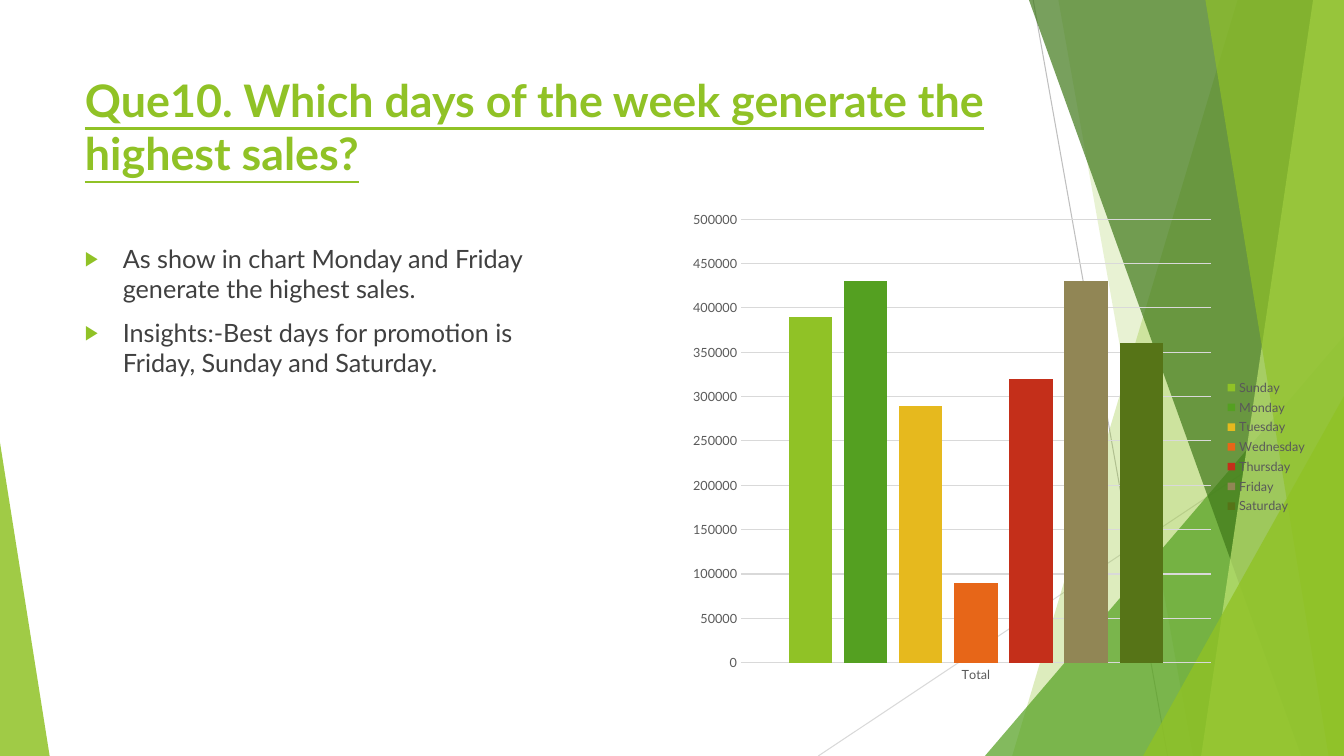
from lxml import etree
from pptx import Presentation
from pptx.chart.data import CategoryChartData
from pptx.dml.color import RGBColor
from pptx.enum.chart import XL_CHART_TYPE, XL_LEGEND_POSITION, XL_TICK_MARK
from pptx.enum.shapes import MSO_CONNECTOR, MSO_SHAPE
from pptx.enum.text import MSO_ANCHOR, MSO_AUTO_SIZE, PP_ALIGN
from pptx.oxml.ns import qn
from pptx.util import Pt

COLUMNS = XL_CHART_TYPE.COLUMN_CLUSTERED
LEGEND_RIGHT = XL_LEGEND_POSITION.RIGHT
NO_TICKS = XL_TICK_MARK.NONE
STRAIGHT = MSO_CONNECTOR.STRAIGHT
TRIANGLE = MSO_SHAPE.ISOSCELES_TRIANGLE
TOP = MSO_ANCHOR.TOP
NO_AUTOFIT = MSO_AUTO_SIZE.NONE
LEFT = PP_ALIGN.LEFT

FONT = "Lato"
WIDTH, HEIGHT = 960, 540
COLORS = {
    "lime": "90C226", "green": "54A021", "forest": "3F7819", "pale": "C0E474",
    "yellow": "E6B91E", "orange": "E76618", "red": "C42F1A", "khaki": "918655",
    "olive": "567417", "text": "404040", "label": "595959",
    "rule": "BFBFBF", "grid": "D9D9D9",
}


def style_font(font, size, color):
    font.name = FONT
    font.size = Pt(size)
    font.color.rgb = RGBColor.from_string(COLORS[color])


def fill_facet(shape, color, opacity):
    shape.shadow.inherit = False
    shape.line.fill.background()
    shape.fill.solid()
    shape.fill.fore_color.rgb = RGBColor.from_string(COLORS[color])
    tint = shape.element.spPr.find(qn("a:solidFill"))[0]
    etree.SubElement(tint, qn("a:alpha"), val=str(opacity * 1000))


deck = Presentation()
deck.slide_width, deck.slide_height = Pt(WIDTH), Pt(HEIGHT)
page = deck.slides.add_slide(deck.slide_layouts[1])

# Thin lines behind the facets
for x1, y1, x2, y2, color in [
    (738, 0, 834, HEIGHT, "rule"),
    (WIDTH, 290, 584.5, HEIGHT, "grid"),
]:
    line = page.shapes.add_connector(STRAIGHT, Pt(x1), Pt(y1), Pt(x2), Pt(y2))
    line.line.color.rgb = RGBColor.from_string(COLORS[color])
    line.line.width = Pt(0.75)
    etree.SubElement(line.element.spPr, qn("a:effectLst"))

# Facets, back to front: slabs (top x, bottom x) reach the right edge,
# triangles (left, top, width, apex) stand on the bottom edge
facets = [
    ("slab", (884, 723), "lime", 30),
    ("slab", (756, 852), "lime", 20),
    ("triangle", (703.5, 240, 256.5, 1), "green", 72),
    ("slab", (735, 929.5), "forest", 70),
    ("slab", (938, 858), "pale", 70),
    ("slab", (861, 949), "lime", 65),
    ("triangle", (816.5, 283, 143.5, 1), "lime", 80),
    ("triangle", (0, 316, 35.5, 0), "lime", 85),
]
for kind, geometry, color, opacity in facets:
    if kind == "slab":
        top_x, bottom_x = geometry
        outline = page.shapes.build_freeform(Pt(top_x), 0)
        corners = [(WIDTH, 0), (WIDTH, HEIGHT), (bottom_x, HEIGHT)]
        outline.add_line_segments([(Pt(x), Pt(y)) for x, y in corners])
        facet = outline.convert_to_shape()
    else:
        left, top, width, apex = geometry
        facet = page.shapes.add_shape(
            TRIANGLE, Pt(left), Pt(top), Pt(width), Pt(HEIGHT - top))
        facet.adjustments[0] = apex
    fill_facet(facet, color, opacity)

# Title and body, placed in front of the facets
title, body = page.shapes.title, page.placeholders[1]
for box, top, width, height in [(title, 48, 677, 104), (body, 170, 330, 305)]:
    box.left, box.top, box.width, box.height = Pt(53.5), Pt(top), Pt(width), Pt(height)
    box.element.getparent().append(box.element)
    box.text_frame.word_wrap = True
    box.text_frame.auto_size = NO_AUTOFIT
    box.text_frame.vertical_anchor = TOP

title.text_frame.text = "Que10. Which days of the week generate the highest sales?"
heading = title.text_frame.paragraphs[0]
heading.alignment = LEFT
style_font(heading.font, 32, "lime")
heading.font.bold = True
heading.font.underline = True

body.text_frame.text = (
    "As show in chart Monday and Friday generate the highest sales.\n"
    "Insights:-Best days for promotion is Friday, Sunday and Saturday."
)
for index, para in enumerate(body.text_frame.paragraphs):
    props = para._p.get_or_add_pPr()
    props.set("marL", str(Pt(27)))
    props.set("indent", str(-Pt(27)))
    bullet_color = etree.SubElement(props, qn("a:buClr"))
    etree.SubElement(bullet_color, qn("a:srgbClr"), val=COLORS["lime"])
    etree.SubElement(props, qn("a:buSzPct"), val="80000")
    etree.SubElement(props, qn("a:buChar"), char="▶")
    para.space_before = Pt(10 if index else 0)
    style_font(para.font, 18, "text")

# Sales by day chart
sales = [
    ("Sunday", 390000, "lime"), ("Monday", 430000, "green"),
    ("Tuesday", 290000, "yellow"), ("Wednesday", 90000, "orange"),
    ("Thursday", 320000, "red"), ("Friday", 430000, "khaki"),
    ("Saturday", 360000, "olive"),
]
data = CategoryChartData()
data.categories = ["Total"]
for day, amount, color in sales:
    data.add_series(day, [amount])
chart = page.shapes.add_chart(COLUMNS, Pt(486), Pt(144), Pt(455), Pt(350.5), data).chart
chart.has_title = False
style_font(chart.font, 9, "label")

plot = chart.plots[0]
plot.vary_by_categories = False
plot.gap_width = 219
plot.overlap = -27
for series, (day, amount, color) in zip(plot.series, sales):
    series.format.fill.solid()
    series.format.fill.fore_color.rgb = RGBColor.from_string(COLORS[color])

amounts, days = chart.value_axis, chart.category_axis
amounts.minimum_scale, amounts.maximum_scale, amounts.major_unit = 0, 500000, 50000
amounts.has_major_gridlines = True
amounts.format.line.fill.background()
for axis in (amounts, days):
    axis.major_tick_mark = axis.minor_tick_mark = NO_TICKS
    style_font(axis.tick_labels.font, 9, "label")
for rule in (amounts.major_gridlines, days):
    rule.format.line.color.rgb = RGBColor.from_string(COLORS["grid"])
    rule.format.line.width = Pt(0.75)

chart.has_legend = True
chart.legend.position = LEGEND_RIGHT
chart.legend.include_in_layout = False
style_font(chart.legend.font, 9, "label")

deck.save("out.pptx")
